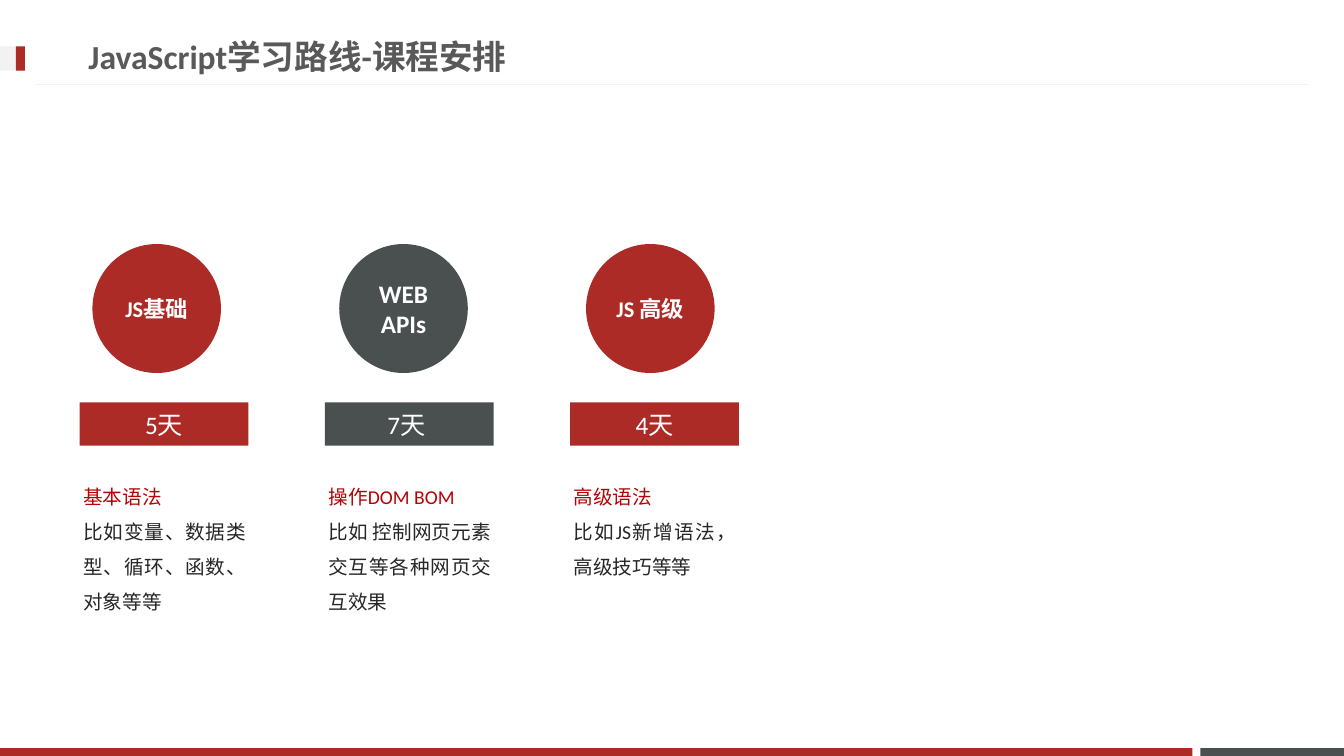
"""Build the course schedule slide."""
from dataclasses import dataclass

from pptx import Presentation
from pptx import util as u
from pptx.dml.color import RGBColor
from pptx.enum import shapes, text
from pptx.oxml.ns import qn
from lxml import etree


@dataclass(frozen=True)
class Theme:
    font: str = "Calibri"
    red: str = "AD2B26"
    slate: str = "49504F"
    pale: str = "F2F2F2"
    white: str = "FFFFFF"
    title: str = "595959"
    heading: str = "B60206"
    body: str = "262626"
    title_size: int = 24
    large: int = 18
    label: int = 16
    body_size: int = 14


def write(p, content, *, font, size, color, bold=False, align=None, spacing=None):
    """Add one formatted run to a paragraph."""
    r = p.add_run()
    r.text = content
    r.font.name = font
    r.font.size = u.Pt(size)
    r.font.bold = bold
    r.font.color.rgb = RGBColor.from_string(color)
    p.alignment = align
    p.line_spacing = spacing


class Deck:
    """Hold the theme and the current slide."""

    def __init__(self, prs, theme):
        self.theme = theme
        self.s = prs.slides.add_slide(prs.slide_layouts[6])

    def block(self, kind, left, top, width, height, fill):
        """Add a plain filled shape."""
        sp = self.s.shapes.add_shape(kind, *map(u.Cm, (left, top, width, height)))
        sp.shadow.inherit = False
        sp.fill.solid()
        sp.fill.fore_color.rgb = RGBColor.from_string(fill)
        sp.line.fill.background()
        return sp

    def rect(self, *box, fill):
        """Add a filled rectangle."""
        return self.block(shapes.MSO_SHAPE.RECTANGLE, *box, fill)

    def label(self, sp, content, size, bold=False):
        """Centre white text in a shape."""
        tf = sp.text_frame
        tf.word_wrap = True
        tf.vertical_anchor = text.MSO_ANCHOR.MIDDLE
        write(tf.paragraphs[0], content, font=self.theme.font, size=size,
              color=self.theme.white, bold=bold, align=text.PP_ALIGN.CENTER)

    def circle(self, left, top, width, height, content, size, fill):
        """Add a circle with a bold label."""
        sp = self.block(shapes.MSO_SHAPE.OVAL, left, top, width, height, fill)
        self.label(sp, content, size, bold=True)

    def bar(self, left, top, width, height, content, fill):
        """Add a labelled bar without side margins."""
        sp = self.rect(left, top, width, height, fill=fill)
        sp.text_frame.margin_left = sp.text_frame.margin_right = 0
        self.label(sp, content, self.theme.large)

    def rule(self, left, right, y):
        """Add a thin horizontal line."""
        c = self.s.shapes.add_connector(
            shapes.MSO_CONNECTOR.STRAIGHT, *map(u.Cm, (left, y, right, y)))
        c.line.color.rgb = RGBColor.from_string(self.theme.pale)
        c.line.width = u.Pt(0.75)
        etree.SubElement(c._element.spPr, qn("a:effectLst"))

    def textbox(self, left, top, width, height):
        """Add an empty wrapping text box."""
        sp = self.s.shapes.add_textbox(*map(u.Cm, (left, top, width, height)))
        sp.text_frame.word_wrap = True
        return sp.text_frame

    def title(self, left, top, width, height, content):
        """Add the slide title."""
        tf = self.textbox(left, top, width, height)
        tf.vertical_anchor = text.MSO_ANCHOR.MIDDLE
        write(tf.paragraphs[0], content, font=self.theme.font, bold=True,
              size=self.theme.title_size, color=self.theme.title)

    def details(self, left, top, width, height, heading, body):
        """Add a coloured heading above its explanation."""
        t = self.theme
        tf = self.textbox(left, top, width, height)
        for p, content, color in ((tf.paragraphs[0], heading, t.heading),
                                  (tf.add_paragraph(), body, t.body)):
            write(p, content, font=t.font, size=t.body_size, color=color,
                  align=text.PP_ALIGN.JUSTIFY, spacing=1.5)


def main():
    """Draw the slide and save it."""
    prs = Presentation()
    prs.slide_width, prs.slide_height = u.Cm(33.87), u.Cm(19.05)
    t = Theme()
    deck = Deck(prs, t)

    deck.rect(30.25, 18.85, 3.62, 0.2, fill=t.slate)
    deck.rect(0, 18.85, 30.05, 0.2, fill=t.red)
    deck.rule(0.9, 32.97, 2.13)
    deck.rect(0, 1.17, 0.63, 0.61, fill=t.pale)
    deck.rect(0.4, 1.17, 0.23, 0.61, fill=t.red)
    deck.title(1.98, 0.69, 24.36, 1.45, "JavaScript学习路线-课程安排")

    courses = (
        ("JS基础", t.label, "5天", t.red, "基本语法",
         "比如变量、数据类型、循环、函数、对象等等"),
        ("WEB APIs", t.large, "7天 ", t.slate, "操作DOM BOM",
         "比如 控制网页元素交互等各种网页交互效果"),
        ("JS 高级", t.label, "4天", t.red, "高级语法",
         "比如JS新增语法，高级技巧等等"),
    )
    for i, (name, size, days, fill, heading, body) in enumerate(courses):
        left = 2.01 + 6.18 * i
        deck.circle(2.33 + 6.22 * i, 6.15, 3.24, 3.25, name, size, fill)
        deck.bar(left, 10.14, 4.25, 1.09, days, fill)
        deck.details(left - 0.16, 11.79, 4.6, 3.84, heading, body)

    prs.save("out.pptx")


if __name__ == "__main__":
    main()
